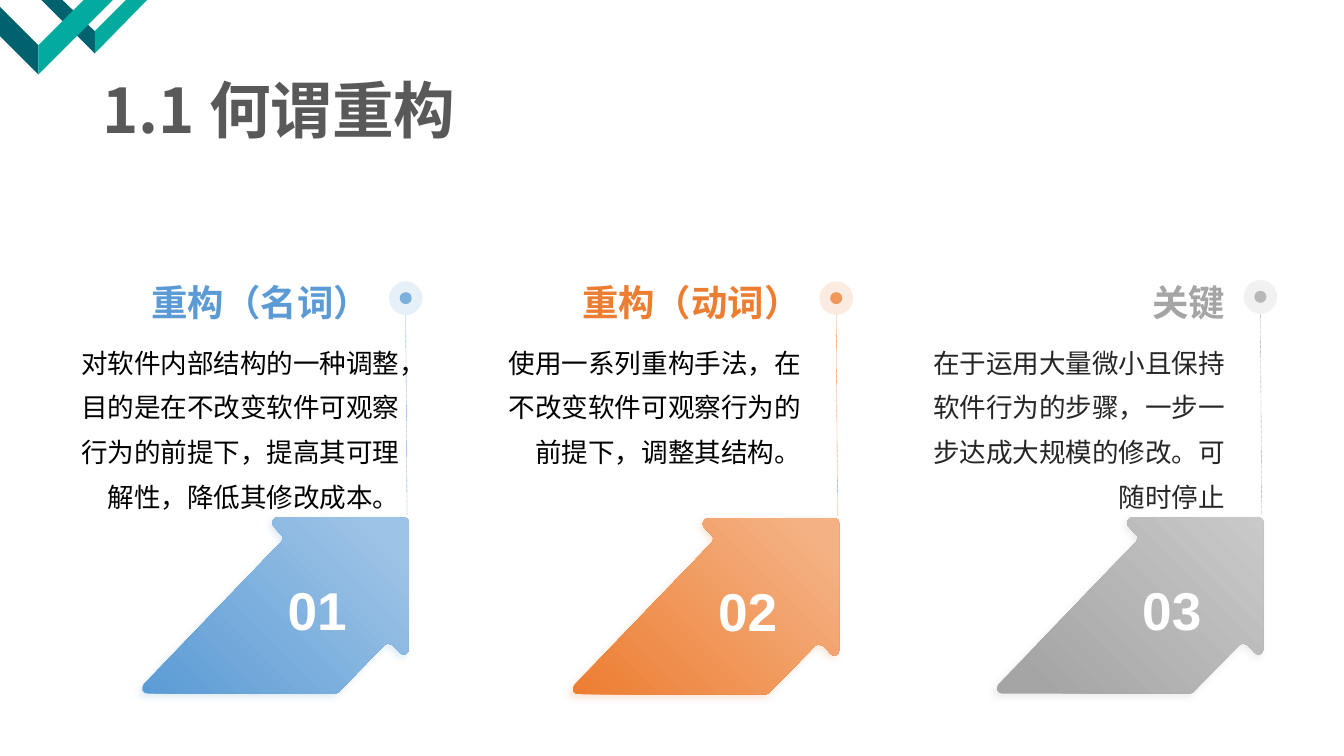
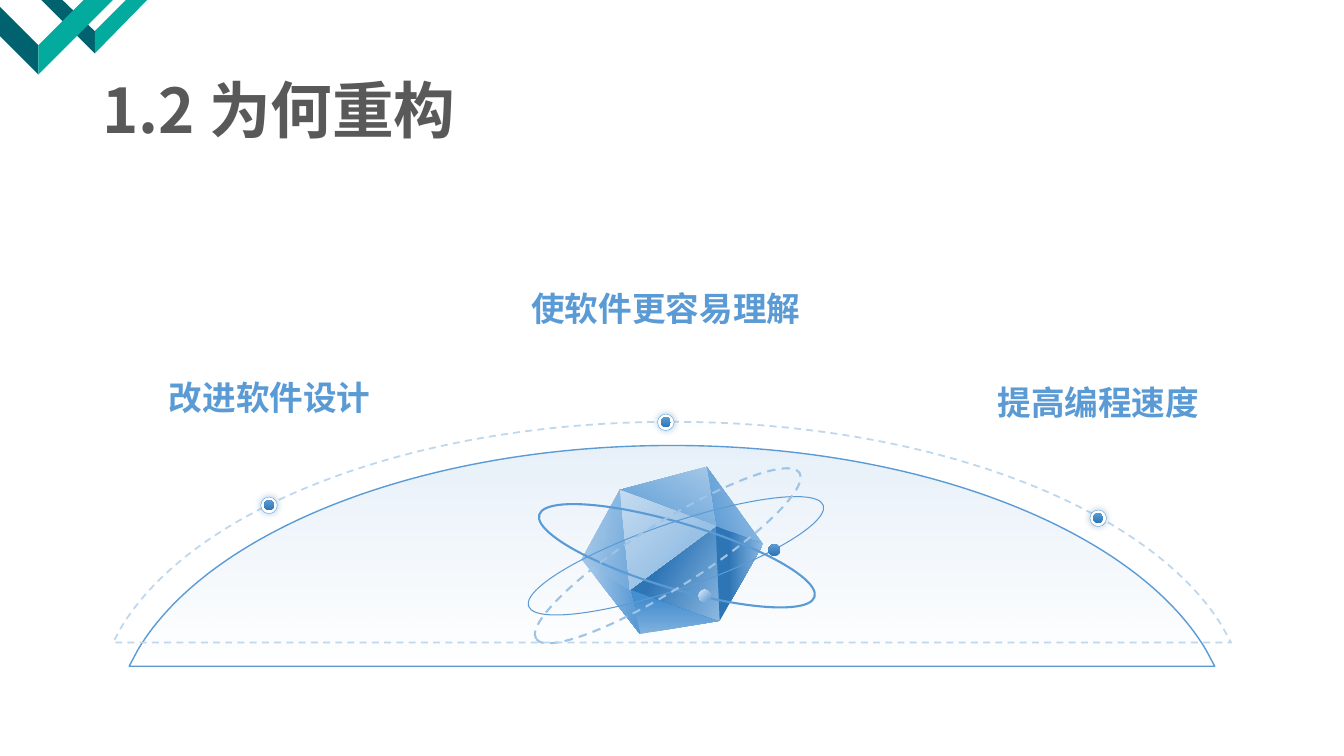
from lxml.etree import SubElement
from pptx import Presentation
from pptx.dml.color import RGBColor
from pptx.enum.dml import MSO_LINE
from pptx.enum.shapes import MSO_CONNECTOR, MSO_SHAPE
from pptx.enum.text import MSO_ANCHOR, PP_ALIGN
from pptx.oxml.ns import qn
from pptx.util import Pt

LATIN_FONT = "Arial"
CHINESE_FONT = "Noto Sans CJK SC"

WHITE = RGBColor(0xFF, 0xFF, 0xFF)
BLACK = RGBColor(0x00, 0x00, 0x00)
CHARCOAL = RGBColor(0x26, 0x26, 0x26)
TITLE_GRAY = RGBColor(0x59, 0x59, 0x59)
DARK_TEAL = RGBColor(0x01, 0x62, 0x6F)
TEAL = RGBColor(0x03, 0xAB, 0x9E)
BLUE = RGBColor(0x5B, 0x9B, 0xD5)
DEEP_BLUE = RGBColor(0x2E, 0x75, 0xB6)
LIGHT_BLUE = RGBColor(0x9D, 0xC3, 0xE6)
PALE_BLUE = RGBColor(0xBD, 0xD7, 0xEE)
ICE_BLUE = RGBColor(0xDE, 0xEB, 0xF7)
ORANGE = RGBColor(0xED, 0x7D, 0x31)
LIGHT_ORANGE = RGBColor(0xF4, 0xB1, 0x83)
GRAY = RGBColor(0xA5, 0xA5, 0xA5)
LIGHT_GRAY = RGBColor(0xC9, 0xC9, 0xC9)

SLIDE_WIDTH, SLIDE_HEIGHT = 960, 540
CENTER_X = SLIDE_WIDTH / 2

RIBBONS = [
    (DARK_TEAL, [(44.6, 0), (29.5, 0), (67.7, 38.2), (67.7, 22.3)]),
    (TEAL, [(105.1, 0), (90, 0), (67.7, 22.3), (67.7, 38.2)]),
    (DARK_TEAL, [(0, 5), (0, 25.9), (27.4, 53.3), (27.4, 32.4)]),
    (TEAL, [(80.6, 0), (59.8, 0), (27.4, 32.4), (27.4, 53.3)]),
]

# Outline steps relative to the arrow's corner: 1 point is a line, 3 a Bézier curve.
ARROW_OUTLINE = [
    [(92.9, 2.9)],
    [(93.6, 1.4), (95, 0), (96.5, 0)],
    [(186.5, 0)],
    [(188.6, 0), (190.1, 1.4), (190.1, 4.3)],
    [(190.1, 94.3)],
    [(190.1, 95.8), (189.4, 97.2), (187.9, 97.9)],
    [(186.5, 98.6), (185, 97.9), (184.3, 97.2)],
    [(178.6, 91.4)],
    [(177.1, 90), (175, 90), (172.8, 91.4)],
    [(139.7, 125.3)],
    [(139, 126), (138.2, 126), (137.5, 126)],
    [(3.6, 126)],
    [(2.2, 126), (0.7, 125.3), (0, 123.8)],
    [(-0.7, 122.4), (0, 121), (0.7, 119.5)],
    [(99.4, 17.3)],
    [(100.8, 15.8), (100.8, 13.7), (98.6, 12.2)],
    [(93.6, 6.5)],
    [(92.9, 5.8), (92.2, 3.6), (92.9, 2.9)],
]

# left, top, dot top, colour, gradient stops, number, heading, body width, body, body colour
COLUMNS = [
    (101.8, 369.4, 201, BLUE, [(0, BLUE), (90, LIGHT_BLUE)], "01", "重构（名词）", 237.6,
     "对软件内部结构的一种调整，目的是在不改变软件可观察行为的前提下，提高其可理解性，降低其修改成本。", BLACK),
    (409.3, 370, 201, ORANGE, [(0, ORANGE), (90, LIGHT_ORANGE)], "02", "重构（动词）", 216.7,
     "使用一系列重构手法，在不改变软件可观察行为的前提下，调整其结构。", BLACK),
    (712.3, 369.4, 200, GRAY, [(10, GRAY), (100, LIGHT_GRAY)], "03", "关键", 216.7,
     "在于运用大量微小且保持软件行为的步骤，一步一步达成大规模的修改。可随时停止", CHARCOAL),
]

GEM_CORNERS = {
    "A": (442.8, 349.9), "B": (504.7, 333.4), "C": (545, 388.8), "D": (514.1, 443.5),
    "E": (457.2, 452.9), "F": (415.4, 399.6), "G": (511.2, 375.8), "H": (450, 421.2),
}
# corners, gradient stops, angle
GEM_FACES = [
    ("DEH", [(1, RGBColor(0x7F, 0xB1, 0xDE)), (78, RGBColor(0x45, 0x8E, 0xCF))], 270),
    ("FHE", [(19, LIGHT_BLUE), (92, BLUE)], 0),
    ("FAH", [(0, RGBColor(0xAD, 0xCD, 0xEA)), (100, RGBColor(0x72, 0xA9, 0xDB))], 10),
    ("GDH", [(36, DEEP_BLUE), (100, RGBColor(0x8C, 0xB9, 0xE2))], 30),
    ("GBC", [(1, LIGHT_BLUE), (92, BLUE)], 160),
    ("GCD", [(28, DEEP_BLUE), (100, RGBColor(0x8C, 0xB9, 0xE2))], 0),
    ("ABG", [(0, RGBColor(0xA5, 0xC8, 0xE8)), (100, BLUE)], 120),
    ("AGH", [(0, RGBColor(0xC4, 0xDB, 0xF0)), (100, RGBColor(0x81, 0xB2, 0xDF))], 45),
]
# center x, width, rotation, colour, line width, dash
ORBITS = [
    (482.8, 222.5, 341.1, BLUE, 0.75, None),
    (483.5, 205.2, 16.6, BLUE, 1.5, None),
    (477, 222.5, 327.8, LIGHT_BLUE, 1.5, MSO_LINE.DASH),
]
BUTTON_STOPS = [(1, DEEP_BLUE), (100, BLUE)]
# button center, label left and top, label
REASONS = [
    (192.2, 361, 76.3, 269.3, "改进软件设计"),
    (784.5, 370.2, 668.2, 272.5, "提高编程速度"),
    (475.6, 301.7, 359.3, 205.6, "使软件更容易理解"),
]


def set_alpha(colors, percents):
    for color, percent in zip(colors, percents):
        SubElement(color, qn("a:alpha")).set("val", str(percent * 1000))


def fill_colors(shape):
    return list(shape._element.spPr.iter(qn("a:srgbClr")))


def fill_solid(shape, color, alpha=None):
    shape.fill.solid()
    shape.fill.fore_color.rgb = color
    if alpha is not None:
        set_alpha(fill_colors(shape)[:1], [alpha])


def fill_gradient(shape, stops, angle, alphas=()):
    """Fill with two (position, colour) stops; the angle runs clockwise."""
    shape.fill.gradient()
    shape.fill.gradient_angle = (360 - angle) % 360
    for stop, (position, color) in zip(shape.fill.gradient_stops, stops):
        stop.position = position / 100
        stop.color.rgb = color
    set_alpha(fill_colors(shape)[:2], alphas)


def set_line(line, color, width, dash=None):
    line.color.rgb = color
    line.width = Pt(width)
    if dash:
        line.dash_style = dash


def add_glow(shape, color, alpha, distance, direction):
    effects = shape._element.spPr.find(qn("a:effectLst"))
    shadow = SubElement(effects, qn("a:outerShdw"), blurRad=str(Pt(5)),
                        dist=str(Pt(distance)), dir=str(direction * 60000), rotWithShape="0")
    set_alpha([SubElement(shadow, qn("a:srgbClr"), val=str(color))], [alpha])


def clear_style(shape):
    shape.shadow.inherit = False
    shape.fill.background()
    shape.line.fill.background()
    return shape


def add_outline(slide, steps):
    """Draw a closed outline from steps of 1 point (line) or 3 points (Bézier curve)."""
    points = [(Pt(x), Pt(y)) for step in steps for x, y in step]
    builder = slide.shapes.build_freeform(*points[0])
    builder.add_line_segments(points[1:], close=True)
    shape = clear_style(builder.convert_to_shape())
    segments = iter(list(shape._element.iter(qn("a:lnTo"))))
    for step in steps[1:]:
        first, *others = [next(segments) for _ in step]
        if others:
            curve = SubElement(first.getparent(), qn("a:cubicBezTo"))
            first.addprevious(curve)
            for segment in (first, *others):
                curve.append(segment[0])
                segment.getparent().remove(segment)
    return shape


def add_polygon(slide, points):
    return add_outline(slide, [[point] for point in points])


def add_ellipse(slide, center_x, center_y, width, height):
    return clear_style(slide.shapes.add_shape(
        MSO_SHAPE.OVAL, Pt(center_x - width / 2), Pt(center_y - height / 2),
        Pt(width), Pt(height)))


def add_run(paragraph, text, size, color, bold=False, font=LATIN_FONT):
    run = paragraph.add_run()
    run.text = text
    run.font.size = Pt(size)
    run.font.bold = bold
    run.font.color.rgb = color
    run.font.name = font
    properties = run._r.get_or_add_rPr()
    properties.set("lang", "zh-CN")
    SubElement(properties, qn("a:ea"), typeface=CHINESE_FONT)


def set_frame(frame, margins, anchor, wrap=True):
    frame.word_wrap = wrap
    frame.vertical_anchor = anchor
    (frame.margin_left, frame.margin_top,
     frame.margin_right, frame.margin_bottom) = map(Pt, margins)


def add_text_box(slide, left, top, width, height, anchor, alignment, margins=(0, 0, 0, 0)):
    """Add an empty text box and return its first paragraph."""
    frame = slide.shapes.add_textbox(Pt(left), Pt(top), Pt(width), Pt(height)).text_frame
    set_frame(frame, margins, anchor)
    frame.paragraphs[0].alignment = alignment
    return frame.paragraphs[0]


def add_titled_slide(presentation, title):
    slide = presentation.slides.add_slide(presentation.slide_layouts[6])
    paragraph = add_text_box(slide, 66, 29, 828, 104.4, MSO_ANCHOR.MIDDLE,
                             PP_ALIGN.LEFT, (7.2, 3.6, 7.2, 3.6))
    paragraph.line_spacing = 0.9
    add_run(paragraph, title, 44, TITLE_GRAY, True, CHINESE_FONT)
    for color, points in RIBBONS:
        fill_solid(add_polygon(slide, points), color)
    return slide


def add_column(slide, left, top, dot_top, color, stops, number, heading,
               body_width, body, body_color):
    arrow = add_outline(slide, [[(left + x, top + y) for x, y in step]
                                for step in ARROW_OUTLINE])
    fill_gradient(arrow, stops, 315)
    add_glow(arrow, color, 20, 3, 135)
    set_frame(arrow.text_frame, (60, 8.6, 0, 2.9), MSO_ANCHOR.MIDDLE, wrap=False)
    paragraph = arrow.text_frame.paragraphs[0]
    paragraph.alignment = PP_ALIGN.CENTER
    add_run(paragraph, number, 38, WHITE, True)

    dot_x = left + 188
    for size, alpha in ((24, 15), (8.6, 75)):
        fill_solid(add_ellipse(slide, dot_x, dot_top + 12, size, size), color, alpha)
    stem = slide.shapes.add_connector(MSO_CONNECTOR.STRAIGHT, Pt(dot_x), Pt(dot_top + 24),
                                      Pt(dot_x + 1), Pt(368))
    set_line(stem.line, color, 0.25, MSO_LINE.ROUND_DOT)
    SubElement(stem._element.spPr, qn("a:effectLst"))

    text_left = left - 54
    paragraph = add_text_box(slide, text_left, 131.8, 216.7, 99.4,
                             MSO_ANCHOR.BOTTOM, PP_ALIGN.RIGHT)
    add_run(paragraph, heading, 26, color, True)
    paragraph = add_text_box(slide, text_left, 238.6, body_width, 125,
                             MSO_ANCHOR.TOP, PP_ALIGN.RIGHT)
    paragraph.line_spacing = 1.4
    add_run(paragraph, body, 19, body_color)


def add_dome(slide, top, stretch=1):
    right = [(179.3, 0), (331.2, 61.2), (381.6, 146.2), (387.7, 157.7)]
    right = [(CENTER_X + x * stretch, top + y) for x, y in right]
    left = [(SLIDE_WIDTH - x, y) for x, y in reversed(right)]
    peak = (CENTER_X, top)
    return add_outline(slide, [[peak], right[:3], right[3:], left[:1], left[1:2],
                               [*left[2:], peak]])


def add_gem(slide):
    for corners, stops, angle in GEM_FACES:
        face = add_polygon(slide, [GEM_CORNERS[corner] for corner in corners])
        fill_gradient(face, stops, angle)
    for center_x, width, rotation, color, line_width, dash in ORBITS:
        orbit = add_ellipse(slide, center_x, 397, width, 46.8)
        orbit.rotation = rotation
        set_line(orbit.line, color, line_width, dash)
    fill_gradient(add_ellipse(slide, 553, 393, 8.6, 8.6), BUTTON_STOPS, 270)
    fill_gradient(add_ellipse(slide, 503.3, 425.5, 8.6, 8.6), [(1, ICE_BLUE), (100, BLUE)], 45)


def add_reason(slide, center_x, center_y, left, top, label):
    ring = add_ellipse(slide, center_x, center_y, 11.8, 11.8)
    fill_solid(ring, WHITE)
    set_line(ring.line, BLUE, 0.25)
    add_glow(ring, DEEP_BLUE, 40, 0, 0)
    fill_gradient(add_ellipse(slide, center_x, center_y, 7.2, 7.2), BUTTON_STOPS, 270)
    paragraph = add_text_box(slide, left, top, 232.6, 28.8, MSO_ANCHOR.BOTTOM, PP_ALIGN.CENTER)
    add_run(paragraph, label, 24, BLUE, True)


def main():
    presentation = Presentation()
    presentation.slide_width, presentation.slide_height = Pt(SLIDE_WIDTH), Pt(SLIDE_HEIGHT)

    slide = add_titled_slide(presentation, "1.1 何谓重构")
    for column in COLUMNS:
        add_column(slide, *column)

    slide = add_titled_slide(presentation, "1.2 为何重构")
    dome = add_dome(slide, 318.2)
    fill_gradient(dome, [(0, BLUE), (100, BLUE)], 90, (15, 0))
    set_line(dome.line, BLUE, 1)
    add_gem(slide)
    set_line(add_dome(slide, 301.3, 1.03).line, PALE_BLUE, 1.25, MSO_LINE.DASH)
    for reason in REASONS:
        add_reason(slide, *reason)

    presentation.save("out.pptx")


if __name__ == "__main__":
    main()
